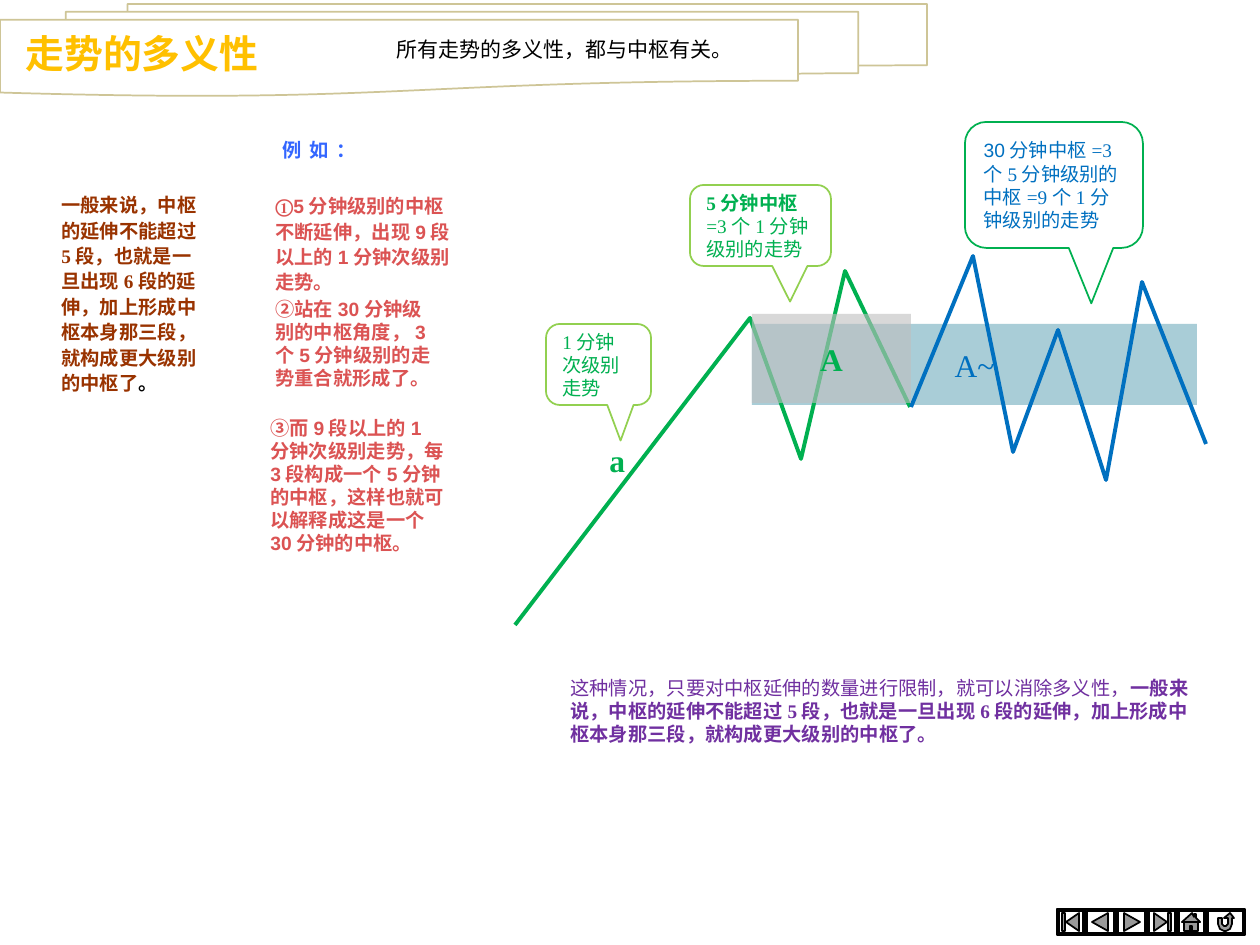
from lxml.etree import SubElement
from pptx import Presentation
from pptx.dml.color import RGBColor
from pptx.enum.shapes import MSO_SHAPE as Shape
from pptx.enum.text import MSO_ANCHOR as Anchor, PP_ALIGN as Align
from pptx.oxml.ns import qn
from pptx.util import Pt

PX = 914400 / 126
SERIF, SANS, CJK = "Times New Roman", "Arial", "Noto Sans CJK SC"
WHITE = RGBColor(0xFF, 0xFF, 0xFF)
BLACK = RGBColor(0, 0, 0)
GOLD = RGBColor(0xFF, 0xC0, 0x00)
SAND = RGBColor(0xCE, 0xC5, 0x97)
BROWN = RGBColor(0x99, 0x33, 0x00)
ROYAL = RGBColor(0x33, 0x66, 0xFF)
RED = RGBColor(0xDB, 0x53, 0x53)
GREEN = RGBColor(0x00, 0xB0, 0x50)
LIME = RGBColor(0x92, 0xD0, 0x50)
BLUE = RGBColor(0x00, 0x70, 0xC0)
PURPLE = RGBColor(0x70, 0x30, 0xA0)
TEAL = RGBColor(0x66, 0xA7, 0xB8)
SILVER = RGBColor(0xBF, 0xBF, 0xBF)
GRAY = RGBColor(0x99, 0x99, 0x99)
RULE = "一般来说，中枢的延伸不能超过5段，也就是一旦出现6段的延伸，加上形成中枢本身那三段，就构成更大级别的中枢了"


def emu(*lengths):
    """Turn px lengths into EMU."""
    return [round(length * PX) for length in lengths]


def write_text(shape, text, size=11, font=SERIF, color=BLACK, bold=False,
               align=Align.LEFT, anchor=Anchor.TOP, spacing=1.0):
    """Write a string, or (string, overrides) runs, as one paragraph."""
    frame = shape.text_frame
    frame.word_wrap = True
    frame.vertical_anchor = anchor
    paragraph = frame.paragraphs[0]
    paragraph.alignment = align
    paragraph.line_spacing = spacing
    base = {"font": font, "color": color, "bold": bold}
    for words, changes in [(text, {})] if isinstance(text, str) else text:
        style = base | changes
        run = paragraph.add_run()
        run.text = words
        run.font.size = Pt(size)
        run.font.bold = style["bold"]
        run.font.color.rgb = style["color"]
        run.font.name = style["font"]
        SubElement(run.font._element if hasattr(run.font, "_element") else run._r.get_or_add_rPr(),
                   qn("a:ea"), typeface=CJK)


def add_text(slide, x, y, width, height, text, **style):
    """Add a text box."""
    write_text(slide.shapes.add_textbox(*emu(x, y, width, height)), text, **style)


def paint(shape, fill=None, line=None, weight=1, opacity=100):
    """Set the fill and outline of a shape and drop its shadow."""
    shape.shadow.inherit = False
    if fill is None:
        shape.fill.background()
    else:
        shape.fill.solid()
        shape.fill.fore_color.rgb = fill
        if opacity < 100:
            color = shape.element.spPr.find(".//" + qn("a:srgbClr"))
            SubElement(color, qn("a:alpha"), val=str(opacity * 1000))
    if line is None:
        shape.line.fill.background()
    else:
        shape.line.color.rgb = line
        shape.line.width = Pt(weight)


def add_shape(slide, kind, x, y, width, height, **look):
    """Add a painted preset shape."""
    shape = slide.shapes.add_shape(kind, *emu(x, y, width, height))
    paint(shape, **look)
    return shape


def add_outline(slide, x, y, contours, close=True, **look):
    """Add a freeform of one or more contours around an origin."""
    contours = [[(x + dx, y + dy) for dx, dy in points] for points in contours]
    builder = slide.shapes.build_freeform(*contours[0][0], scale=PX)
    for index, points in enumerate(contours):
        if index:
            builder.move_to(*points[0])
        builder.add_line_segments(points[1:], close=close)
    paint(builder.convert_to_shape(), **look)


def add_callout(slide, x, y, width, height, line, text, color):
    """Add a rounded speech callout with its tail below."""
    shape = add_shape(slide, Shape.ROUNDED_RECTANGULAR_CALLOUT, x, y, width, height, line=line)
    for index, value in enumerate((0.21, 0.94, 0.17)):
        shape.adjustments[index] = value
    write_text(shape, text, color=color, anchor=Anchor.MIDDLE)


def add_header(slide, x, y, width, height):
    """Place the stacked banner with the title and the lead sentence."""
    add_shape(slide, Shape.FLOWCHART_MULTIDOCUMENT, x, y, width, height, fill=WHITE, line=SAND)
    add_text(slide, x + 13, y + 19, 280, 60, "走势的多义性", size=22.2, font=CJK,
             color=GOLD, bold=True, anchor=Anchor.BOTTOM, spacing=0.9)
    add_text(slide, x + 384, y + 26, 370, 38, "所有走势的多义性，都与中枢有关。",
             size=12, font=SANS)


def add_notes(slide, x, y):
    """Place the general rule and the three-step example."""
    add_text(slide, x, y + 55, 165, 218, [(RULE, {}), ("。", {"color": BLACK})],
             color=BROWN, bold=True, spacing=1.1)
    add_text(slide, x + 221, y, 79, 39, "例如：", color=ROYAL, bold=True,
             align=Align.JUSTIFY, spacing=1.1)
    first = [("①", {"font": SERIF}), ("5分钟级别的中枢不断延伸，出现9段以上的1分钟次级别走势。", {})]
    second = "②站在30分钟级别的中枢角度，3个5分钟级别的走势重合就形成了。"
    third = "③而9段以上的1分钟次级别走势，每3段构成一个5分钟的中枢，这样也就可以解释成这是一个30分钟的中枢。"
    for dx, dy, width, height, text, spacing in (
            (214, 56, 208, 115, first, 1.1),
            (214, 161, 189, 106, second, 1.0),
            (209, 280, 199, 175, third, 1.0)):
        add_text(slide, x + dx, y + dy, width, height, text, font=SANS, color=RED,
                 bold=True, spacing=spacing)


def add_trend(slide, x, y):
    """Draw the two zigzag trends, their pivot zones and the callouts."""
    rising = [(15, 525), (250, 218), (301, 359), (345, 171), (410, 307)]
    extension = [(411, 307), (473, 156), (513, 352), (558, 230), (606, 380), (642, 182), (706, 344)]
    zone = add_shape(slide, Shape.RECTANGLE, x + 252, y + 224, 445, 81, fill=TEAL, opacity=56)
    write_text(zone, "A~", size=18, color=BLUE, align=Align.CENTER, anchor=Anchor.MIDDLE)
    for points, color in ((rising, GREEN), (extension, BLUE)):
        add_outline(slide, x, y, [points], close=False, line=color, weight=2.25)
    add_text(slide, x + 97, y + 335, 49, 50, "a", size=18, color=GREEN, bold=True)
    pivot = add_shape(slide, Shape.RECTANGLE, x + 252, y + 214, 159, 89, fill=SILVER, opacity=60)
    write_text(pivot, "A", size=18, color=GREEN, bold=True, align=Align.CENTER,
               anchor=Anchor.MIDDLE)
    cjk, strong = {"font": CJK}, {"bold": True}
    add_callout(slide, x + 46, y + 224, 105, 81, LIME, [("1", {}), ("分钟次级别走势", cjk)], GREEN)
    add_callout(slide, x + 190, y + 85, 141, 81, LIME, [
        ("5", strong), ("分钟中枢", cjk | strong), ("=3", {}), ("个", cjk),
        ("1", {}), ("分钟级别的走势", cjk)], GREEN)
    add_callout(slide, x + 465, y + 22, 178, 126, GREEN, [
        ("30分钟", {"font": SANS}), ("中枢", cjk), ("=3", {}), ("个", cjk), ("5", {}),
        ("分钟级别的中枢", cjk), ("=9", {}), ("个", cjk), ("1", {}), ("分钟级别的走势", cjk)], BLUE)


def add_conclusion(slide, x, y, width, height):
    """Place the closing remark."""
    add_text(slide, x, y, width, height, [
        ("这种情况，只要对中枢延伸的数量进行限制，就可以消除多义性，", {}),
        (RULE + "。", {"bold": True})], color=PURPLE)


def mirror(contours):
    """Flip contours from left to right."""
    return [[(-dx, dy) for dx, dy in points] for points in contours]


def add_navigation(slide, x, y, height):
    """Draw the row of six bevelled navigation buttons."""
    first = [[(-5, 0), (8, -9), (8, 9)], [(-9, -9), (-6, -9), (-6, 9), (-9, 9)]]
    previous = [[(-8, 0), (8, -9), (8, 9)]]
    home = [[(0, -9), (3, -5), (3, -8), (5, -8), (5, -4), (9, 0), (7, 0), (7, 9),
             (-7, 9), (-7, 0), (-9, 0)],
            [(-9, 0), (9, 0)], [(-1, 4), (1, 4), (1, 9), (-1, 9)]]
    back = [[(-8, -4), (-4, -4), (-4, 2), (-2, 4), (0, 4), (2, 2), (2, -4), (-1, -4), (4, -9),
             (9, -4), (7, -4), (7, 2), (5, 7), (0, 9), (-2, 9), (-6, 7), (-8, 2)]]
    buttons = ((28, first), (31, previous), (31, mirror(previous)), (30, mirror(first)),
               (29, home), (39, back))
    for width, icon in buttons:
        button = add_shape(slide, Shape.BEVEL, x, y, width, height, fill=WHITE, line=BLACK)
        button.adjustments[0] = 0.07
        add_outline(slide, x + width / 2, y + height / 2, icon, fill=GRAY, line=BLACK)
        x += width


def main():
    """Build the slide and save it."""
    presentation = Presentation()
    presentation.slide_width, presentation.slide_height = emu(1260, 945)
    slide = presentation.slides.add_slide(presentation.slide_layouts[6])
    add_header(slide, 0, 4, 927, 92)
    add_notes(slide, 49, 130)
    add_trend(slide, 500, 100)
    add_conclusion(slide, 558, 670, 644, 82)
    add_navigation(slide, 1057, 909, 26)
    presentation.save("out.pptx")


if __name__ == "__main__":
    main()
